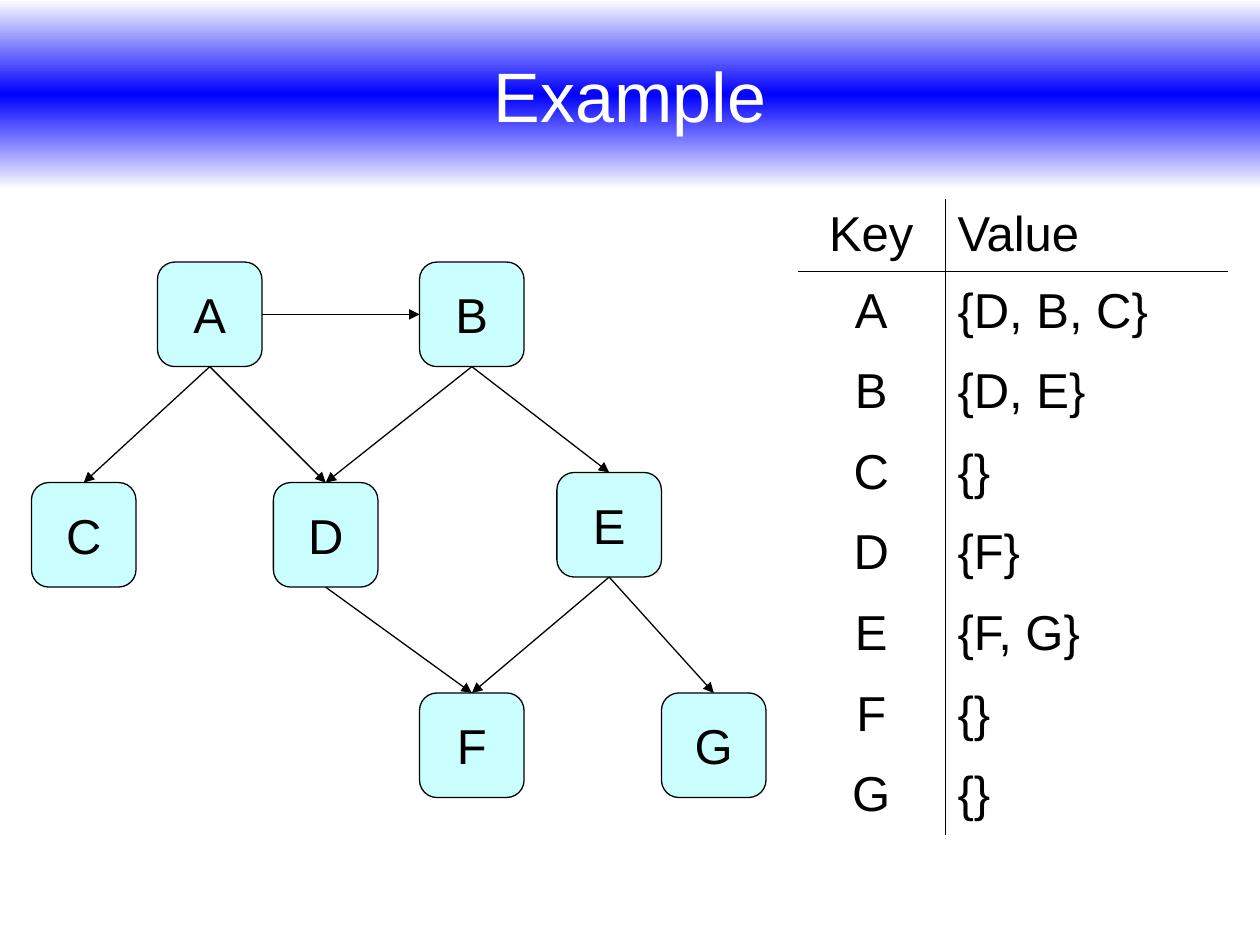
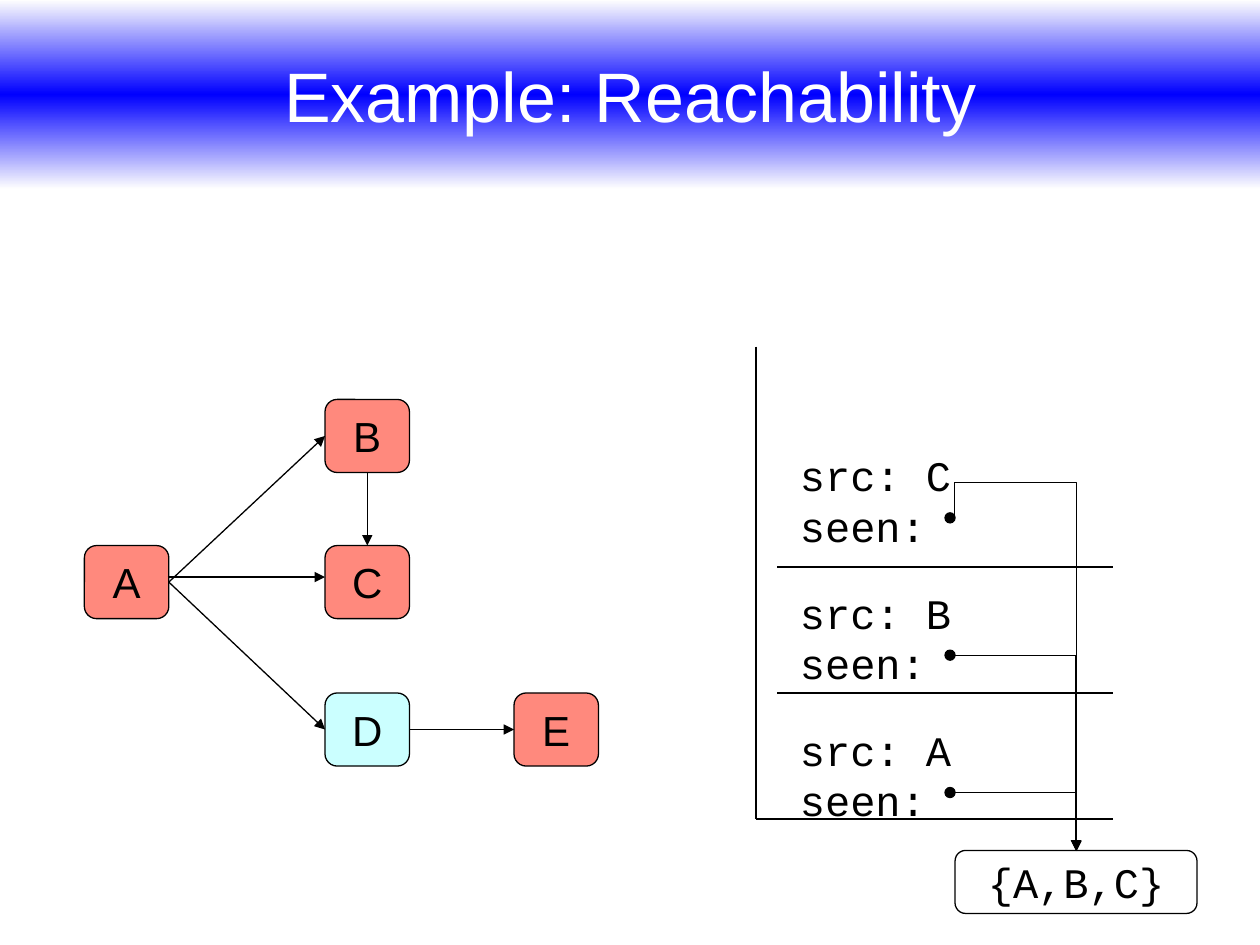
from copy import deepcopy

from pptx import Presentation
from pptx.dml.color import RGBColor
from pptx.enum.shapes import MSO_CONNECTOR, MSO_SHAPE
from pptx.enum.text import MSO_ANCHOR, PP_ALIGN
from pptx.oxml.ns import qn
from pptx.oxml.xmlchemy import OxmlElement
from pptx.util import Inches, Pt

RECT, ROUND, OVAL = MSO_SHAPE.RECTANGLE, MSO_SHAPE.ROUNDED_RECTANGLE, MSO_SHAPE.OVAL
STRAIGHT, ELBOW = MSO_CONNECTOR.STRAIGHT, MSO_CONNECTOR.ELBOW
LEFT, CENTER = PP_ALIGN.LEFT, PP_ALIGN.CENTER
TOP, MIDDLE = MSO_ANCHOR.TOP, MSO_ANCHOR.MIDDLE
NORTH, WEST, SOUTH, EAST = range(4)

COLORS = {"ink": "000000", "paper": "FFFFFF", "edge": "FEFEFE",
          "band": "0000FF", "node": "CBFFFF", "seen": "FF897D"}
SANS, MONO = "Arial", "Courier New"


def rgb(name):
    return RGBColor.from_string(COLORS[name])


def put(target, values):
    for key, value in values.items():
        setattr(target, key, value)


def add(parent, tag, **attrs):
    child = OxmlElement(tag)
    for key, value in attrs.items():
        child.set(key, value)
    parent.append(child)
    return child


class Deck:
    def __init__(self):
        self.prs = Presentation()
        put(self.prs, {"slide_width": Inches(10), "slide_height": Inches(7.5)})

    def start(self, title):
        self.slide = self.prs.slides.add_slide(self.prs.slide_layouts[6])
        self.shapes = self.slide.shapes
        band = self.shape(RECT, 0, 0, 10, 1.5, None)
        band.line.fill.background()
        # Three-stop gradient
        band.fill.gradient()
        band.fill.gradient_angle = 90
        stop = next(band._element.iter(qn("a:gs")))
        stop.addnext(deepcopy(stop))
        for stop, pos, name in zip(band.fill.gradient_stops, (0, 0.5, 1),
                                   ("edge", "band", "edge")):
            stop.position = pos
            stop.color.rgb = rgb(name)
        self.text(band.text_frame, title, 40, color="paper", wrap=True)

    def text(self, frame, words, size, font=SANS, color="ink",
             align=CENTER, anchor=MIDDLE, wrap=False):
        put(frame, {"text": words, "word_wrap": wrap, "vertical_anchor": anchor})
        for para in frame.paragraphs:
            para.alignment = align
            put(para.font, {"name": font, "size": Pt(size)})
            para.font.color.rgb = rgb(color)

    def shape(self, kind, x, y, w, h, fill):
        shape = self.shapes.add_shape(kind, *map(Inches, (x, y, w, h)))
        shape.shadow.inherit = False
        if fill:
            shape.fill.solid()
            shape.fill.fore_color.rgb = rgb(fill)
        self.stroke(shape.line)
        return shape

    def node(self, words, x, y, w, h, size, fill="node", font=SANS):
        box = self.shape(ROUND, x, y, w, h, fill)
        self.text(box.text_frame, words, size, font)
        return box

    def label(self, words, x, y, w, h):
        box = self.shapes.add_textbox(*map(Inches, (x, y, w, h)))
        self.text(box.text_frame, words, 24, MONO, align=LEFT, anchor=TOP)

    def stroke(self, line):
        line.color.rgb = rgb("ink")
        line.width = Pt(0.75)

    def line(self, x1, y1, x2, y2, kind=STRAIGHT, arrow=False):
        line = self.shapes.add_connector(kind, *map(Inches, (x1, y1, x2, y2)))
        self.stroke(line.line)
        props = line._element.spPr
        if arrow:
            add(props.find(qn("a:ln")), "a:tailEnd", type="triangle")
        add(props, "a:effectLst")
        return line

    def link(self, start, end, out=SOUTH, into=NORTH):
        line = self.line(0, 0, 0, 0, arrow=True)
        line.begin_connect(start, out)
        line.end_connect(end, into)

    def bend(self, x1, y1, x2, y2, preset, turn=0, adjust=None):
        line = self.line(x1, y1, x2, y2, ELBOW, arrow=True)
        props = line._element.spPr
        props.find(qn("a:xfrm")).set("rot", str(turn * 60000))
        geom = props.find(qn("a:prstGeom"))
        geom.set("prst", preset)
        if adjust is not None:
            guides = geom.find(qn("a:avLst"))
            add(guides, "a:gd", name="adj1", fmla=f"val {adjust}")

    def table(self, rows, x, y, widths, heights):
        size = Inches(sum(widths)), Inches(sum(heights))
        frame = self.shapes.add_table(len(rows), len(widths), Inches(x), Inches(y), *size)
        table = frame.table
        put(table, {"first_row": False, "horz_banding": False})
        for col, width in zip(table.columns, widths):
            col.width = Inches(width)
        for r, (row, height) in enumerate(zip(rows, heights)):
            table.rows[r].height = Inches(height)
            for c, words in enumerate(row):
                cell = table.cell(r, c)
                self.text(cell.text_frame, words, 28, align=LEFT if c else CENTER)
                cell.vertical_anchor = MIDDLE
                self.rule(cell, {"L": c == 1, "R": c == 0, "T": r == 1, "B": r == 0})
                cell.fill.background()

    def rule(self, cell, sides):
        props = cell._tc.get_or_add_tcPr()
        for side, shown in sides.items():
            line = add(props, "a:ln" + side, w=str(Pt(0.45)))
            if shown:
                add(add(line, "a:solidFill"), "a:srgbClr", val=COLORS["ink"])
            else:
                add(line, "a:noFill")


def graph(deck):
    deck.start("Example")
    # Nodes
    spots = {"A": (1.25, 2.08), "B": (3.33, 2.08), "C": (0.25, 3.83), "D": (2.17, 3.83),
             "E": (4.42, 3.75), "F": (3.33, 5.5), "G": (5.25, 5.5)}
    nodes = {name: deck.node(name, *spot, 0.83, 0.83, 28) for name, spot in spots.items()}
    # Edges
    deck.link(nodes["A"], nodes["B"], EAST, WEST)
    for start, end in ("AC", "AD", "BD", "BE", "DF", "EF", "EG"):
        deck.link(nodes[start], nodes[end])
    # Adjacency table
    rows = [("Key", "Value"), ("A", "{D, B, C}"), ("B", "{D, E}"), ("C", "{}"),
            ("D", "{F}"), ("E", "{F, G}"), ("F", "{}"), ("G", "{}")]
    deck.table(rows, 6.33, 1.58, (1.17, 2.25), [0.57] + [0.64] * 7)


def reach(deck):
    deck.start("Example: Reachability")
    # Nodes, with the visited ones in red
    spots = {"A": (0.67, 4.33), "B": (2.58, 3.17), "C": (2.58, 4.33),
             "D": (2.58, 5.5), "E": (4.08, 5.5)}
    nodes = {name: deck.node(name, *spot, 0.67, 0.58, 24, "node" if name == "D" else "seen")
             for name, spot in spots.items()}
    # Edges
    deck.link(nodes["B"], nodes["C"])
    for start, end in ("AB", "AD", "DE"):
        deck.link(nodes[start], nodes[end], EAST, WEST)
    deck.line(1.33, 4.58, 2.58, 4.58, arrow=True)
    # Stack outline and dividers
    deck.line(6, 2.75, 6, 6.5)
    deck.line(6, 6.5, 8.83, 6.5)
    for y in (4.5, 5.5):
        deck.line(6.17, y, 8.83, y)
    # Shared set and the frames that point to it
    deck.node("{A,B,C}", 7.58, 6.75, 1.92, 0.5, 24, "paper", MONO)
    for i, name in enumerate("CBA"):
        top = 3.52 + 1.09 * i
        deck.label(f"src: {name}\nseen:", 6.25, top, 1.4, 0.9)
        deck.shape(OVAL, 7.5, top + 0.55, 0.08, 0.08, "ink")
        if name == "C":
            deck.bend(9.39, 4.94, 6.73, 5.91, "bentConnector3", 270, -9900)
        else:
            deck.bend(7.58, top + 0.59, 8.54, 6.75, "bentConnector2")


def main():
    deck = Deck()
    graph(deck)
    reach(deck)
    deck.prs.save("out.pptx")


if __name__ == "__main__":
    main()
